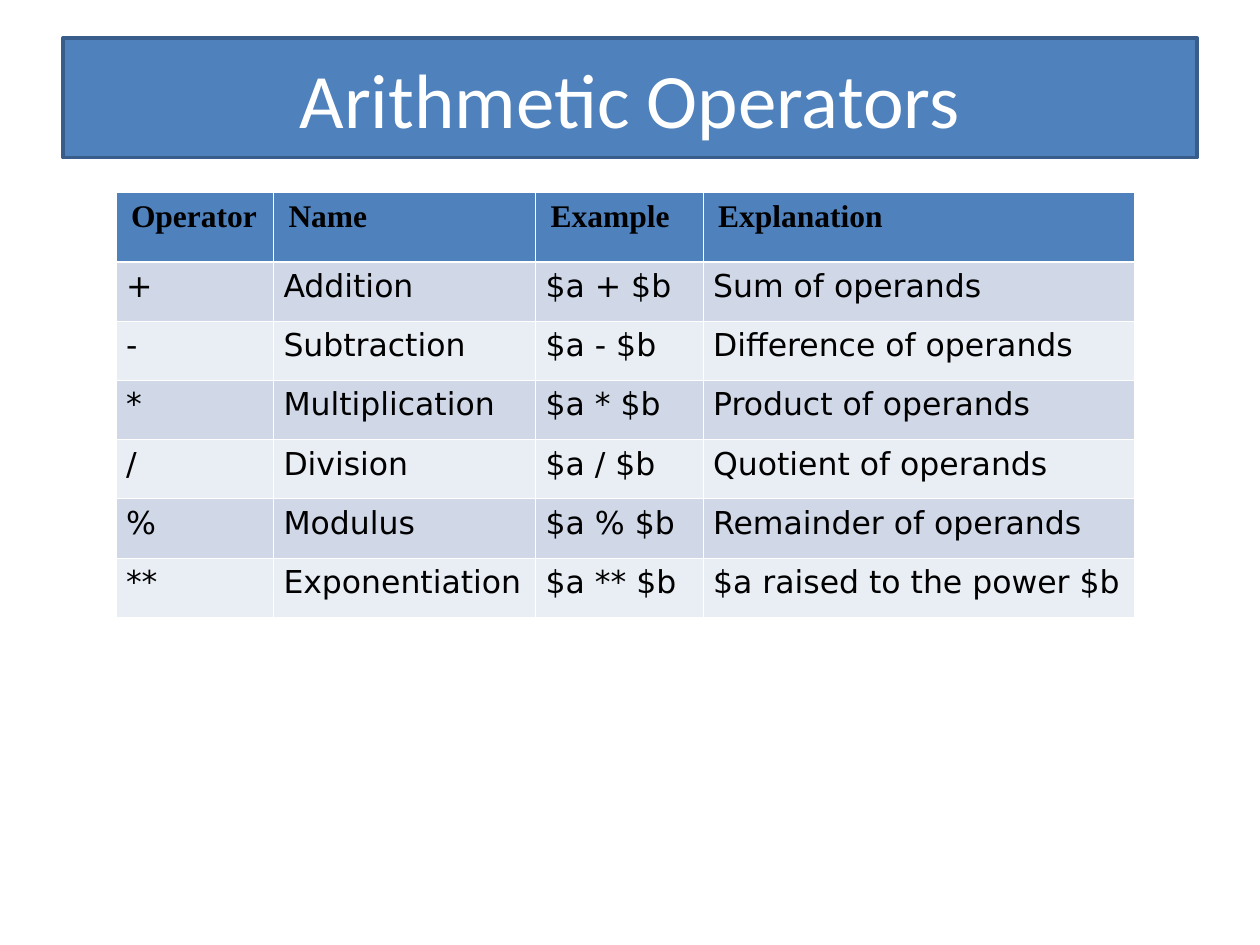
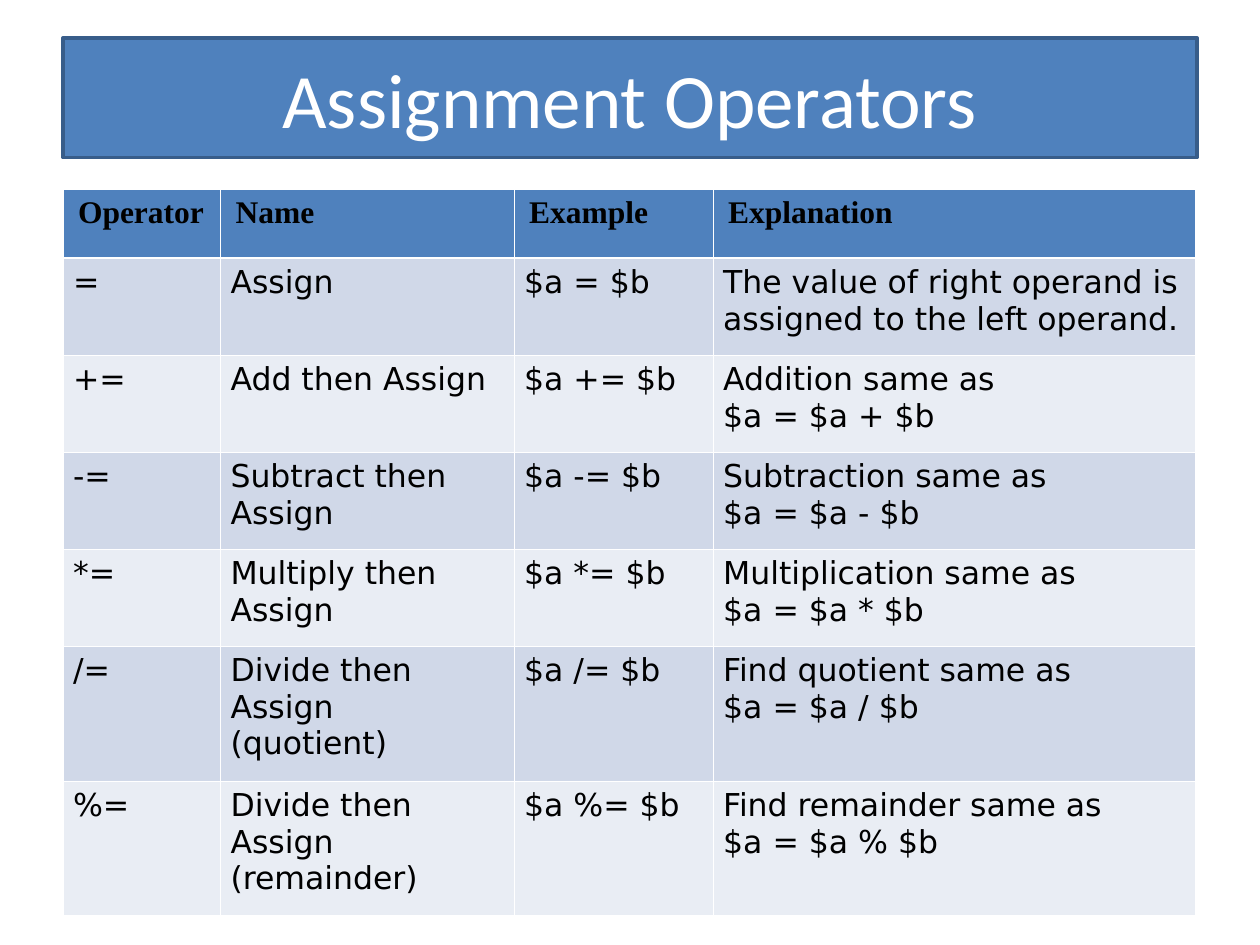
"""Build two slides with tables of arithmetic and assignment operators."""
from dataclasses import dataclass

from lxml import etree
from pptx import Presentation
from pptx.dml.color import RGBColor as Color
from pptx.enum.text import MSO_ANCHOR as Anchor, PP_ALIGN as Align
from pptx.oxml.ns import qn
from pptx.util import Inches, Pt


@dataclass(frozen=True)
class Theme:
    blue: Color = Color.from_string("4F81BD")
    outline: Color = Color.from_string("385D8A")
    dark_band: Color = Color.from_string("D0D8E8")
    light_band: Color = Color.from_string("E9EDF4")
    white: Color = Color.from_string("FFFFFF")
    black: Color = Color.from_string("000000")
    title_font: str = "Calibri"
    header_font: str = "Times New Roman"
    body_font: str = "DejaVu Sans"
    title_size: Pt = Pt(44)
    table_size: Pt = Pt(18)
    thin_line: Pt = Pt(0.45)
    thick_line: Pt = Pt(1.47)


theme = Theme()


def set_font(paragraph, name, size, color, bold=False):
    font = paragraph.font
    font.name, font.size, font.bold = name, size, bold
    font.color.rgb = color


def set_borders(cell, top, bottom):
    properties = cell._tc.get_or_add_tcPr()
    sides = {"a:lnL": theme.thin_line, "a:lnR": theme.thin_line, "a:lnT": top, "a:lnB": bottom}
    for position, (tag, width) in enumerate(sides.items()):
        line = etree.Element(qn(tag), w=str(int(width)))
        fill = etree.SubElement(line, qn("a:solidFill"))
        etree.SubElement(fill, qn("a:srgbClr"), val=str(theme.white))
        properties.insert(position, line)


header = ("Operator", "Name", "Example", "Explanation")
pages = [
    {
        "title": "Arithmetic Operators",
        "corner": (0.92, 1.53),
        "widths": (1.25, 2.08, 1.33, 3.42),
        "heights": [0.55] + [0.47] * 6,
        "rows": [
            ("+", "Addition", "$a + $b", "Sum of operands"),
            ("-", "Subtraction", "$a - $b", "Difference of operands"),
            ("*", "Multiplication", "$a * $b", "Product of operands"),
            ("/", "Division", "$a / $b", "Quotient of operands"),
            ("%", "Modulus", "$a % $b", "Remainder of operands"),
            ("**", "Exponentiation", "$a ** $b", "$a raised to the power $b"),
        ],
    },
    {
        "title": "Assignment Operators",
        "corner": (0.5, 1.5),
        "widths": (1.25, 2.33, 1.58, 3.83),
        "heights": [0.55] + [0.77] * 4 + [1.07] * 2,
        "rows": [
            ("=", "Assign", "$a = $b",
             "The value of right operand is assigned to the left operand."),
            ("+=", "Add then Assign", "$a += $b", "Addition same as\n$a = $a + $b"),
            ("-=", "Subtract then Assign", "$a -= $b", "Subtraction same as\n$a = $a - $b"),
            ("*=", "Multiply then Assign", "$a *= $b", "Multiplication same as\n$a = $a * $b"),
            ("/=", "Divide then Assign\v(quotient)", "$a /= $b",
             "Find quotient same as\n$a = $a / $b"),
            ("%=", "Divide then Assign\v(remainder)", "$a %= $b",
             "Find remainder same as\n$a = $a % $b"),
        ],
    },
]

deck = Presentation()
deck.slide_width, deck.slide_height = Inches(10), Inches(7.5)
title_only = deck.slide_layouts[5]

for page in pages:
    slide = deck.slides.add_slide(title_only)

    title = slide.shapes.title
    title.left, title.top = Inches(0.5), Inches(0.3)
    title.width, title.height = Inches(9), Inches(0.95)
    title.fill.solid()
    title.fill.fore_color.rgb = theme.blue
    title.line.color.rgb = theme.outline
    title.line.width = Pt(2)
    title.text_frame.text = page["title"]
    title.text_frame.vertical_anchor = Anchor.MIDDLE
    heading = title.text_frame.paragraphs[0]
    heading.alignment = Align.CENTER
    set_font(heading, theme.title_font, theme.title_size, theme.white)

    rows = [header] + page["rows"]
    left, top = page["corner"]
    table = slide.shapes.add_table(
        len(rows), len(header), Inches(left), Inches(top),
        Inches(sum(page["widths"])), Inches(sum(page["heights"])),
    ).table
    table.first_row = table.horz_banding = False
    for column, width in zip(table.columns, page["widths"]):
        column.width = Inches(width)

    for row_index, (row, height, texts) in enumerate(zip(table.rows, page["heights"], rows)):
        row.height = Inches(height)
        is_header = row_index == 0
        band = theme.dark_band if row_index % 2 else theme.light_band
        for cell, text in zip(row.cells, texts):
            cell.text_frame.text = text
            cell.margin_left = cell.margin_right = Inches(0.12 if is_header else 0.08)
            cell.margin_top = cell.margin_bottom = Inches(0.05)
            cell.fill.solid()
            cell.fill.fore_color.rgb = theme.blue if is_header else band
            set_borders(
                cell,
                top=theme.thick_line if row_index == 1 else theme.thin_line,
                bottom=theme.thick_line if is_header else theme.thin_line,
            )
            for paragraph in cell.text_frame.paragraphs:
                set_font(paragraph, theme.header_font if is_header else theme.body_font,
                         theme.table_size, theme.black, bold=is_header)

deck.save("out.pptx")
